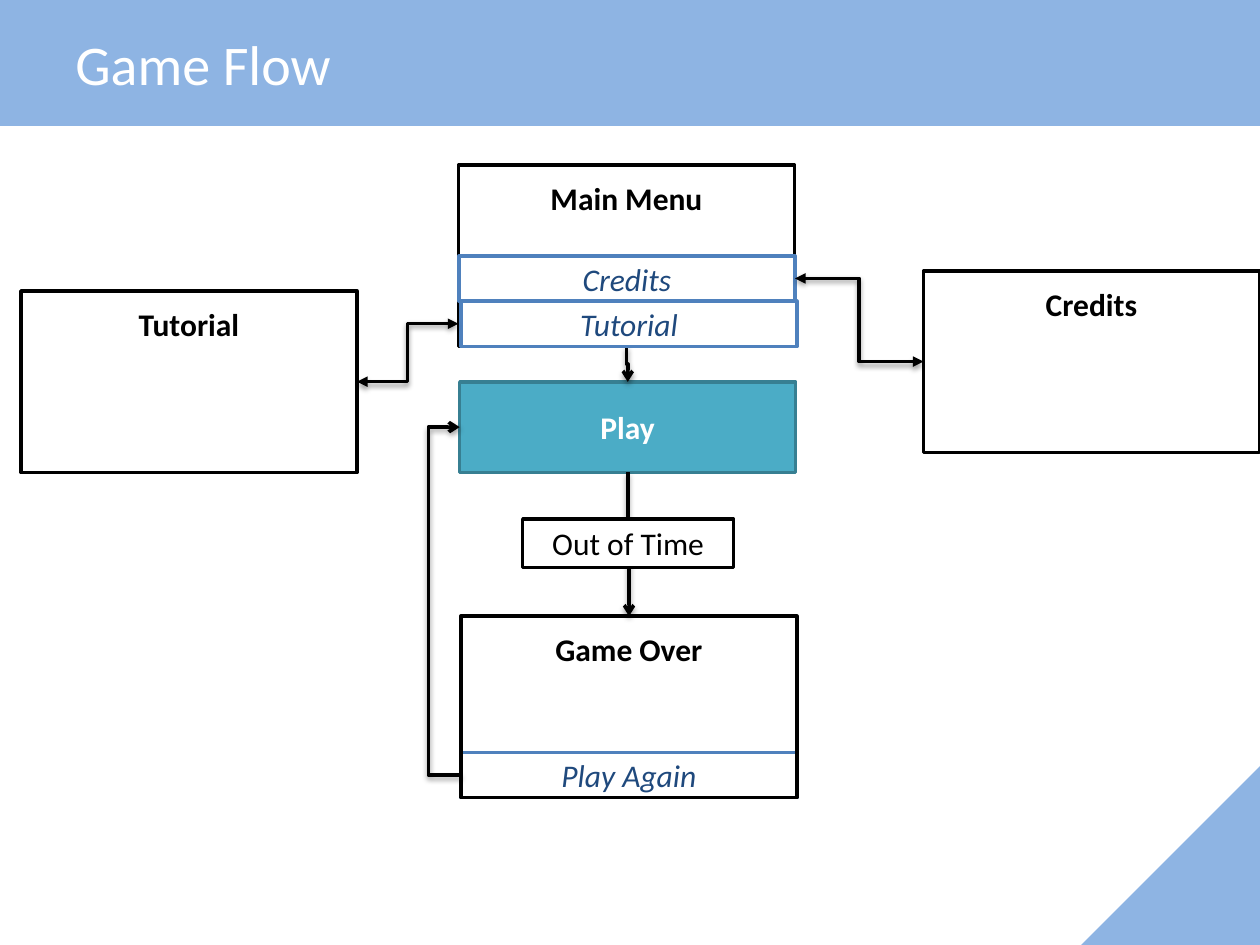
import pptx
import pptx.util
import pptx.dml.color
import pptx.enum.shapes
import pptx.enum.text
import pptx.oxml
import pptx.oxml.ns

Pt = pptx.util.Pt
SHAPE = pptx.enum.shapes.MSO_SHAPE
ANCHOR = pptx.enum.text.MSO_ANCHOR
ALIGN = pptx.enum.text.PP_ALIGN
qn = pptx.oxml.ns.qn

COLORS = {
    "band": "8EB4E3", "white": "FFFFFF", "black": "000000",
    "option": "4F81BD", "option_text": "1F497D",
    "play": "4BACC6", "play_line": "377F92",
}
W, H = 720, 540
BOX_W, BOX_H, OPTION_H, PLAY_H = 192, 103.7, 25.9, 51.8


def rgb(name):
    return pptx.dml.color.RGBColor.from_string(COLORS[name])


def write(sp, text, size=18, color="black", bold=False, italic=False,
          align=ALIGN.CENTER, anchor=ANCHOR.MIDDLE, top=3.6):
    tf = sp.text_frame
    tf.word_wrap = True
    tf.vertical_anchor = anchor
    tf.margin_top = Pt(top)
    p = tf.paragraphs[0]
    p.alignment = align
    r = p.add_run()
    r.text = text
    r.font.name = "Calibri"
    r.font.size = Pt(size)
    r.font.bold = bold
    r.font.italic = italic
    r.font.color.rgb = rgb(color)


def add_block(shapes, box, fill=None, line=None, kind=SHAPE.RECTANGLE):
    sp = shapes.add_shape(kind, *map(Pt, box))
    sp.shadow.inherit = False
    if fill:
        sp.fill.solid()
        sp.fill.fore_color.rgb = rgb(fill)
    else:
        sp.fill.background()
    if line:
        sp.line.color.rgb = rgb(line)
        sp.line.width = Pt(2)
    else:
        sp.line.fill.background()
    return sp


def add_screen(shapes, x, y, text):
    sp = add_block(shapes, (x, y, BOX_W, BOX_H), line="black")
    write(sp, text, bold=True, anchor=ANCHOR.TOP, top=8)


def add_option(shapes, x, y, text):
    sp = add_block(shapes, (x, y, BOX_W, OPTION_H), "white", "option")
    write(sp, text, color="option_text", italic=True)


def add_link(shapes, start, end, head=None, tail="arrow", vertical=False, bend=None):
    (x1, y1), (x2, y2) = start, end
    if vertical:
        cx, cy = (x1 + x2) / 2, (y1 + y2) / 2
        dx, dy = (x2 - x1) / 2, (y2 - y1) / 2
        x1, y1, x2, y2 = cx + dy, cy - dx, cx - dy, cy + dx
    kind = pptx.enum.shapes.MSO_CONNECTOR.ELBOW
    cn = shapes.add_connector(kind, *map(Pt, (x1, y1, x2, y2)))
    cn.line.color.rgb = rgb("black")
    cn.line.width = Pt(2)
    pr = cn._element.spPr
    if vertical:
        pr.find(qn("a:xfrm")).set("rot", "16200000")
    if bend is not None:
        ratio = round((bend - x1) / (x2 - x1) * 100000)
        guides = pr.find(qn("a:prstGeom")).get_or_add_avLst()
        gd = pptx.oxml.parse_xml(
            f'<a:gd {pptx.oxml.ns.nsdecls("a")} name="adj1" fmla="val {ratio}"/>')
        guides.append(gd)
    ln = cn.line._get_or_add_ln()
    for tag, style in (("headEnd", head), ("tailEnd", tail)):
        if style:
            ln.append(pptx.oxml.parse_xml(
                f'<a:{tag} {pptx.oxml.ns.nsdecls("a")} type="{style}"/>'))
    pr.append(pptx.oxml.parse_xml(
        f'<a:effectLst {pptx.oxml.ns.nsdecls("a")}>'
        f'<a:outerShdw blurRad="{Pt(3.1)}" dist="{Pt(1.6)}" dir="5400000" rotWithShape="0">'
        f'<a:srgbClr val="{COLORS["black"]}"><a:alpha val="38000"/></a:srgbClr>'
        '</a:outerShdw></a:effectLst>'))


def add_frame(shapes, x, y, w, h):
    add_block(shapes, (x, y, w, 72), "band")
    side = 102.2
    corner = add_block(shapes, (x + w - side, y + h - side, side, side), "band",
                       kind=SHAPE.RIGHT_TRIANGLE)
    corner._element.spPr.find(qn("a:xfrm")).set("flipH", "1")
    title = shapes.add_textbox(Pt(x + 36), Pt(y), Pt(w - 72), Pt(72))
    write(title, "Game Flow", size=32, color="white", align=ALIGN.LEFT)


def add_flow(shapes, x, y):
    mid = x + BOX_W / 2
    play_x, play_y = x + 0.7, y + 123.9
    over_x, over_y = x + 1.4, y + 257.8
    again_y = over_y + BOX_H - OPTION_H
    credits_y = y + BOX_H - 2 * OPTION_H
    tutorial_y = credits_y + OPTION_H
    left_x, left_y = x - 250, y + 72
    right_x, right_y = x + 265.7, y + 60.5

    add_screen(shapes, x, y, "Main Menu")
    group = shapes.add_group_shape()
    add_option(group.shapes, over_x, again_y, "Play Again")
    add_screen(group.shapes, over_x, over_y, "Game Over")
    play = add_block(shapes, (play_x, play_y, BOX_W, PLAY_H), "play", "play_line")
    write(play, "Play", color="white", bold=True)

    add_link(shapes, (mid, y + BOX_H), (mid + 0.7, play_y), vertical=True)
    add_link(shapes, (mid + 0.7, play_y + PLAY_H), (mid + 1.4, over_y), vertical=True)
    add_link(shapes, (over_x, again_y + OPTION_H / 2),
             (play_x, play_y + PLAY_H / 2), bend=x - 17)

    timeout = add_block(shapes, (x + 36.7, y + 202.3, 120.5, 27.7), "white", "black")
    write(timeout, "Out of Time")
    add_option(shapes, over_x, tutorial_y, "Tutorial")
    add_option(shapes, x + 0.3, credits_y, "Credits")
    add_screen(shapes, left_x, left_y, "Tutorial")
    add_screen(shapes, right_x, right_y, "Credits")

    add_link(shapes, (left_x + BOX_W, left_y + BOX_H / 2),
             (x, tutorial_y + OPTION_H / 2), "triangle", "triangle")
    add_link(shapes, (x + BOX_W + 0.3, credits_y + OPTION_H / 2),
             (right_x, right_y + BOX_H / 2), "triangle", "triangle")


def main():
    prs = pptx.Presentation()
    prs.slide_width, prs.slide_height = Pt(W), Pt(H)
    s = prs.slides.add_slide(prs.slide_layouts[6])
    add_frame(s.shapes, 0, 0, W, H)
    add_flow(s.shapes, 262, 94.3)
    prs.save("out.pptx")


if __name__ == "__main__":
    main()
